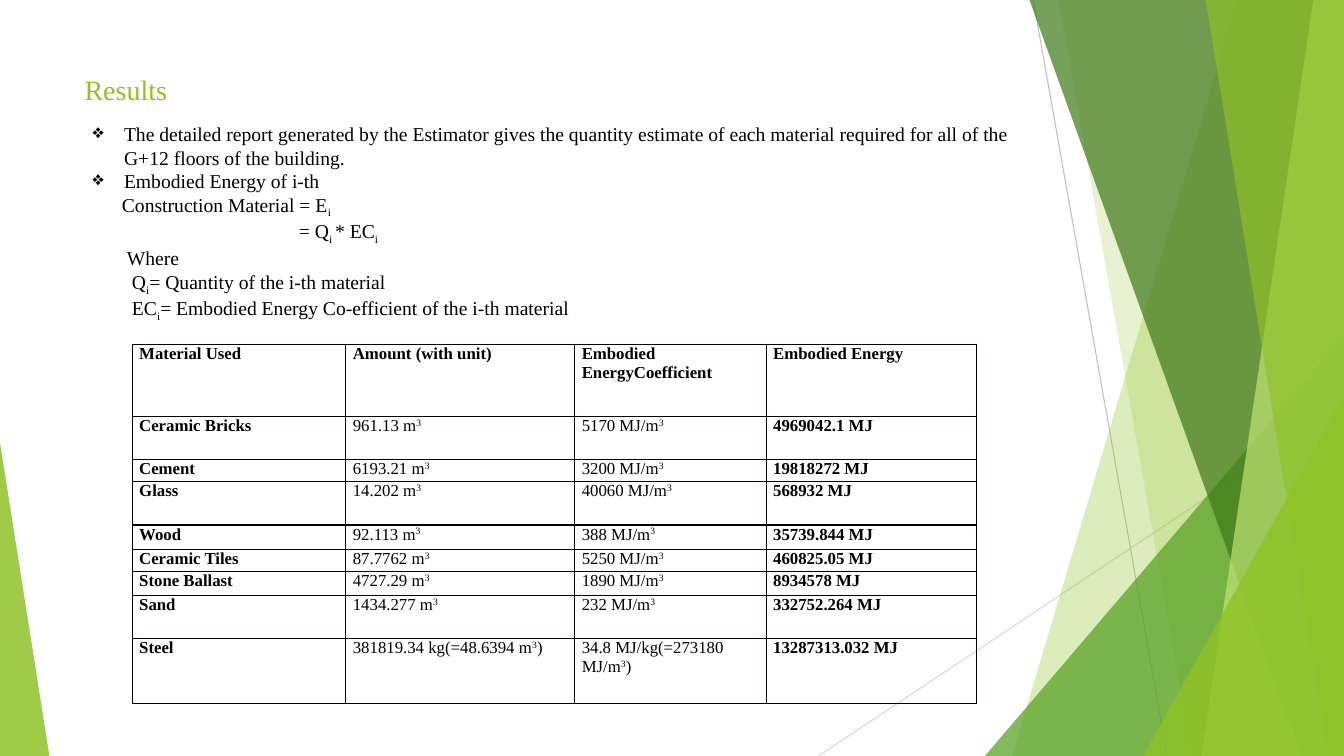
import pptx
import pptx.util
import pptx.dml.color
import pptx.enum.shapes
import pptx.enum.text
import pptx.oxml.ns
import lxml.etree

COLORS = {
    "leaf": "90C226", "grass": "54A021", "forest": "3F7819", "lime": "C0E474",
    "silver": "BFBFBF", "mist": "D9D9D9", "text": "000000", "border": "080000",
}
FONT = "Times New Roman"

deck = pptx.Presentation()
deck.slide_width = pptx.util.Inches(13.333)
deck.slide_height = pptx.util.Inches(7.5)
page = deck.slides.add_slide(deck.slide_layouts[6])

# All lengths are percent of the slide's width (column) or height (row).
column = deck.slide_width / 100
row = deck.slide_height / 100
qn = pptx.oxml.ns.qn


def add_runs(para, text, size, color, shift=0, bold=False):
    """Add text run by run; every second piece between bars is raised or lowered by shift."""
    for index, piece in enumerate(text.split("|")):
        if not piece:
            continue
        run = para.add_run()
        run.text = piece
        run.font.name = FONT
        run.font.size = pptx.util.Pt(size)
        run.font.bold = bold
        run.font.color.rgb = pptx.dml.color.RGBColor.from_string(COLORS[color])
        if index % 2:
            run.font._element.set("baseline", str(shift * 1000))


def add_text_box(left, top, width, height):
    box = page.shapes.add_textbox(
        int(left * column), int(top * row), int(width * column), int(height * row))
    box.text_frame.word_wrap = True
    box.text_frame.vertical_anchor = pptx.enum.text.MSO_ANCHOR.TOP
    return box.text_frame


# Thin lines behind the facets
for x1, y1, x2, y2, color in [
    (76.88, 0, 86.85, 100, "silver"),
    (100, 53.73, 60.9, 100, "mist"),
]:
    line = page.shapes.add_connector(
        pptx.enum.shapes.MSO_CONNECTOR.STRAIGHT,
        int(x1 * column), int(y1 * row), int(x2 * column), int(y2 * row))
    line.line.color.rgb = pptx.dml.color.RGBColor.from_string(COLORS[color])
    line.line.width = pptx.util.Pt(0.75)
    lxml.etree.SubElement(line._element.spPr, qn("a:effectLst"))

# Facets: a band runs from its slanted left edge (top x, bottom x) to the right side;
# a triangle is given by left, top, width and the position of its tip.
facets = [
    ("band", (92.1, 75.3), "leaf", 30),
    ("band", (78.75, 88.73), "leaf", 20),
    ("triangle", (73.28, 44.4, 26.72, 1), "grass", 72),
    ("band", (76.58, 96.83), "forest", 70),
    ("band", (97.73, 89.4), "lime", 70),
    ("band", (89.7, 98.85), "leaf", 65),
    ("triangle", (85.05, 52.4, 14.95, 1), "leaf", 80),
    ("triangle", (0, 58.53, 3.68, 0), "leaf", 85),
]
for kind, place, color, opacity in facets:
    if kind == "band":
        top_x, bottom_x = place
        outline = page.shapes.build_freeform(int(top_x * column), int(-0.1 * row))
        outline.add_line_segments([
            (int(x * column), int(y * row))
            for x, y in [(100, -0.1), (100, 100), (bottom_x, 100)]])
        facet = outline.convert_to_shape()
    else:
        left, top, width, tip = place
        facet = page.shapes.add_shape(
            pptx.enum.shapes.MSO_SHAPE.ISOSCELES_TRIANGLE,
            int(left * column), int(top * row),
            int(width * column), int((100 - top) * row))
        facet.adjustments[0] = tip
    facet.shadow.inherit = False
    facet.line.fill.background()
    facet.fill.solid()
    facet.fill.fore_color.rgb = pptx.dml.color.RGBColor.from_string(COLORS[color])
    tint = facet._element.spPr.find(qn("a:solidFill"))[0]
    lxml.etree.SubElement(tint, qn("a:alpha"), val=str(opacity * 1000))

# Title
title = add_text_box(5.55, 8.93, 70.5, 19.2)
add_runs(title.paragraphs[0], "Results", 20, "leaf")

# Explanation: indent, bullet, text
explanation = [
    (2.34, True, "The detailed report generated by the Estimator gives the quantity "
                 "estimate of each material required for all of the G+12 floors of the building."),
    (2.34, True, "Embodied Energy of i-th"),
    (2.18, False, "Construction Material = E|i"),
    (15.35, False, "= Q|i |* EC|i"),
    (2.55, False, "Where"),
    (2.93, False, "Q|i|= Quantity of the i-th material"),
    (2.93, False, "EC|i|= Embodied Energy Co-efficient of the i-th material"),
]
body = add_text_box(6.15, 15.47, 70.35, 32.8)
for index, (indent, bulleted, text) in enumerate(explanation):
    para = body.add_paragraph() if index else body.paragraphs[0]
    properties = para._p.get_or_add_pPr()
    properties.set("marL", str(int(indent * column)))
    if bulleted:
        properties.set("indent", str(-int(indent * column)))
        lxml.etree.SubElement(properties, qn("a:buChar"), char="❖")
    add_runs(para, text, 14, "text", shift=-25)

# Table of materials
materials = [
    ("Material Used", "Amount (with unit)", "Embodied EnergyCoefficient", "Embodied Energy"),
    ("Ceramic Bricks", "961.13 m|3", "5170 MJ/m|3", "4969042.1 MJ"),
    ("Cement", "6193.21 m|3", "3200 MJ/m|3", "19818272 MJ"),
    ("Glass", "14.202 m|3", "40060 MJ/m|3", "568932 MJ"),
    ("Wood", "92.113 m|3", "388 MJ/m|3", "35739.844 MJ"),
    ("Ceramic Tiles", "87.7762 m|3", "5250 MJ/m|3", "460825.05 MJ"),
    ("Stone Ballast", "4727.29 m|3", "1890 MJ/m|3", "8934578 MJ"),
    ("Sand", "1434.277 m|3", "232 MJ/m|3", "332752.264 MJ"),
    ("Steel", "381819.34 kg(=48.6394 m|3|)", "34.8 MJ/kg(=273180 MJ/m|3|)",
     "13287313.032 MJ"),
]
column_widths = [15.9, 17.03, 14.25, 15.68]
row_heights = [9.47, 5.73, 2.93, 5.73, 3.2, 2.93, 3.2, 5.73, 8.53]
table = page.shapes.add_table(
    len(row_heights), len(column_widths), int(9.83 * column), int(45.6 * row),
    int(sum(column_widths) * column), int(sum(row_heights) * row)).table
for index, width in enumerate(column_widths):
    table.columns[index].width = int(width * column)
for index, height in enumerate(row_heights):
    table.rows[index].height = int(height * row)

for row_index, values in enumerate(materials):
    for column_index, value in enumerate(values):
        cell = table.cell(row_index, column_index)
        cell.margin_left = cell.margin_right = int(0.53 * column)
        cell.margin_top = cell.margin_bottom = 0
        for side in ("a:lnL", "a:lnR", "a:lnT", "a:lnB"):
            border = lxml.etree.SubElement(
                cell._tc.get_or_add_tcPr(), qn(side), w=str(pptx.util.Pt(1)))
            paint = lxml.etree.SubElement(border, qn("a:solidFill"))
            lxml.etree.SubElement(paint, qn("a:srgbClr"), val=COLORS["border"])
        cell.fill.background()
        add_runs(cell.text_frame.paragraphs[0], value, 12, "text", shift=30,
                 bold=row_index == 0 or column_index in (0, 3))

deck.save("out.pptx")
